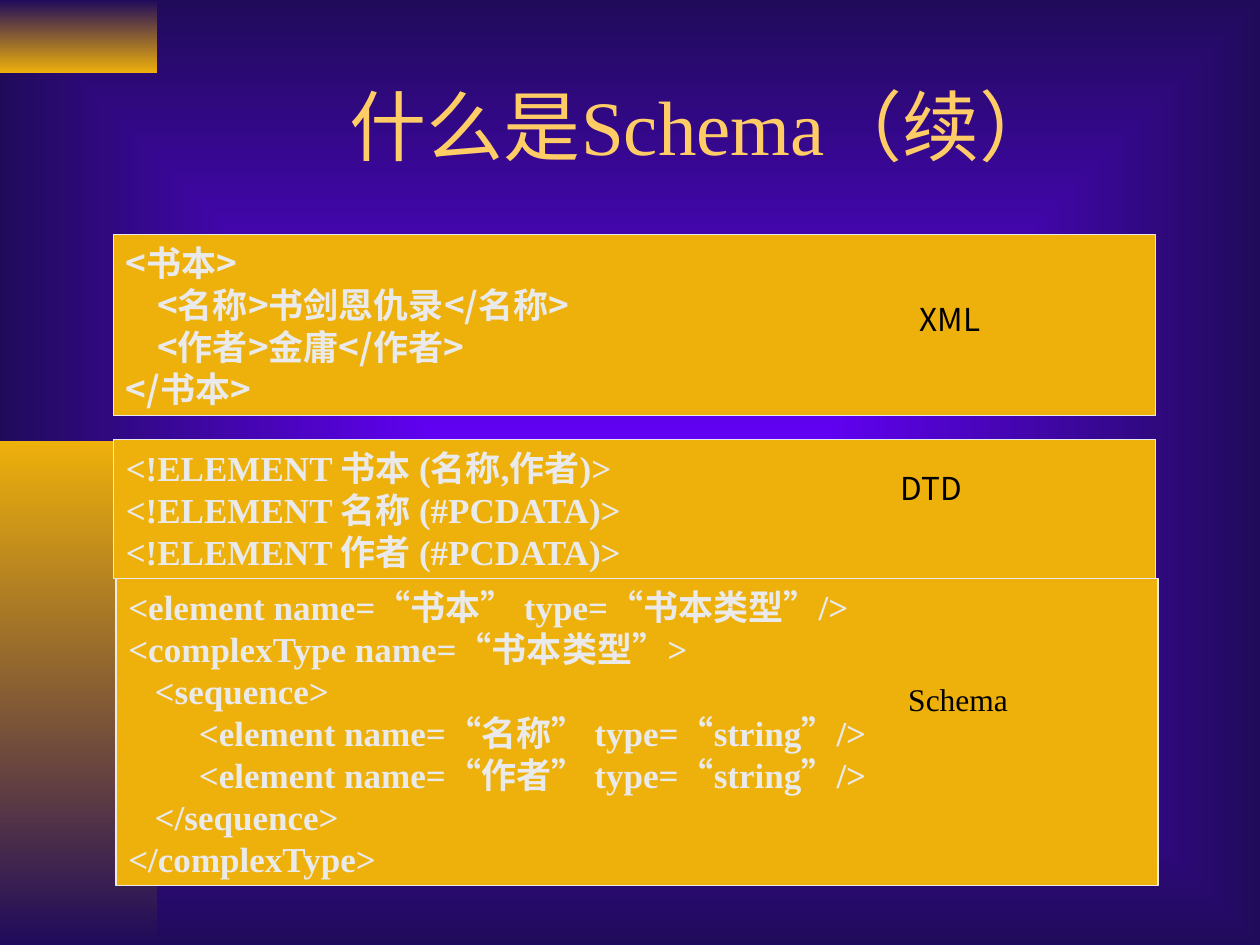
"""Build a slide comparing one book record in XML, DTD and Schema."""
import pptx
import pptx.dml.color
import pptx.enum.shapes
import pptx.enum.text
import pptx.oxml
import pptx.oxml.ns
import pptx.util
from pptx.util import Inches

RGBColor = pptx.dml.color.RGBColor
VIOLET = RGBColor(0x66, 0x00, 0xFF)
NAVY = RGBColor(0x20, 0x0B, 0x5B)
GOLD = RGBColor(0xEE, 0xB0, 0x0B)
PALE_GOLD = RGBColor(0xFF, 0xCC, 0x66)
LIGHT = RGBColor(0xEA, 0xEA, 0xEA)
BLACK = RGBColor(0x00, 0x00, 0x00)
SERIF = "Times New Roman"
SANS = "Noto Sans CJK SC"
RECTANGLE = pptx.enum.shapes.MSO_SHAPE.RECTANGLE
MIDDLE = pptx.enum.text.MSO_ANCHOR.MIDDLE
LEFT = pptx.enum.text.PP_ALIGN.LEFT
CENTER = pptx.enum.text.PP_ALIGN.CENTER


def format_text(paragraph, size, font_name, color, bold=False, align=LEFT):
    paragraph.alignment = align
    for run in paragraph.runs:
        run.font.size = pptx.util.Pt(size)
        run.font.name = font_name
        run.font.bold = bold
        run.font.color.rgb = color
        east_asian = pptx.oxml.parse_xml(
            f'<a:ea {pptx.oxml.ns.nsdecls("a")} typeface="{SANS}"/>')
        run.font._element.find(pptx.oxml.ns.qn("a:latin")).addnext(east_asian)


def set_gradient(fill, start, end):
    fill.gradient()
    for stop, color in zip(fill.gradient_stops, (start, end)):
        stop.color.rgb = color


deck = pptx.Presentation()
deck.slide_width, deck.slide_height = Inches(10), Inches(7.5)
slide = deck.slides.add_slide(deck.slide_layouts[5])

set_gradient(slide.background.fill, VIOLET, NAVY)
direction = slide.element.find(".//" + pptx.oxml.ns.qn("a:lin"))
direction.getparent().replace(direction, pptx.oxml.parse_xml(
    f'<a:path {pptx.oxml.ns.nsdecls("a")} path="rect">'
    '<a:fillToRect l="50000" t="50000" r="50000" b="50000"/></a:path>'))

for top, height, start, end in ((0, 0.58, NAVY, GOLD), (3.5, 4, GOLD, NAVY)):
    side_bar = slide.shapes.add_shape(
        RECTANGLE, 0, Inches(top), Inches(1.25), Inches(height))
    side_bar.shadow.inherit = False
    side_bar.line.fill.background()
    set_gradient(side_bar.fill, start, end)
    side_bar.fill.gradient_angle = 270

title = slide.shapes.title
title.left, title.top = Inches(1.33), Inches(0.33)
title.width, title.height = Inches(8.5), Inches(1.32)
title.text_frame.text = "什么是Schema（续）"
title.text_frame.vertical_anchor = MIDDLE
format_text(title.text_frame.paragraphs[0], 44, SERIF, PALE_GOLD, align=CENTER)

SCHEMA_CODE = (
    (0, "<element name=“书本” type=“书本类型”/>"),
    (0, "<complexType name=“书本类型”>"),
    (0.21, "<sequence>"),
    (0.56, "<element name=“名称” type=“string”/>"),
    (0.56, "<element name=“作者” type=“string”/>"),
    (0.21, "</sequence>"),
    (0, "</complexType>"),
)
XML_CODE = (
    (0, "<书本>"),
    (0.25, "<名称>书剑恩仇录</名称>"),
    (0.25, "<作者>金庸</作者>"),
    (0, "</书本>"),
)
DTD_CODE = (
    (0, "<!ELEMENT 书本 (名称,作者)>"),
    (0, "<!ELEMENT 名称 (#PCDATA)>"),
    (0, "<!ELEMENT 作者 (#PCDATA)>"),
)

for left, top, height, font_name, code in (
    (0.92, 4.59, 2.44, SERIF, SCHEMA_CODE),
    (0.9, 1.86, 1.44, SANS, XML_CODE),
    (0.9, 3.49, 1.1, SERIF, DTD_CODE),
):
    panel = slide.shapes.add_shape(
        RECTANGLE, Inches(left), Inches(top), Inches(8.27), Inches(height))
    panel.shadow.inherit = False
    panel.fill.solid()
    panel.fill.fore_color.rgb = GOLD
    panel.line.color.rgb = LIGHT
    panel.line.width = pptx.util.Pt(0.75)
    panel.text_frame.vertical_anchor = MIDDLE
    panel.text_frame.text = "\n".join(line for _, line in code)
    for paragraph, (indent, _) in zip(panel.text_frame.paragraphs, code):
        format_text(paragraph, 20, font_name, LIGHT, bold=True)
        paragraph.line_spacing = pptx.util.Pt(24)
        paragraph._p.get_or_add_pPr().set("marL", str(Inches(indent)))

for left, top, font_name, name in (
    (7.2, 2.33, SANS, "XML"),
    (7.05, 3.67, SANS, "DTD"),
    (7.11, 5.35, SERIF, "Schema"),
):
    label = slide.shapes.add_textbox(
        Inches(left), Inches(top), Inches(1.65), Inches(0.5))
    label.text_frame.word_wrap = False
    label.text_frame.text = name
    format_text(label.text_frame.paragraphs[0], 18, font_name, BLACK)

deck.save("out.pptx")
